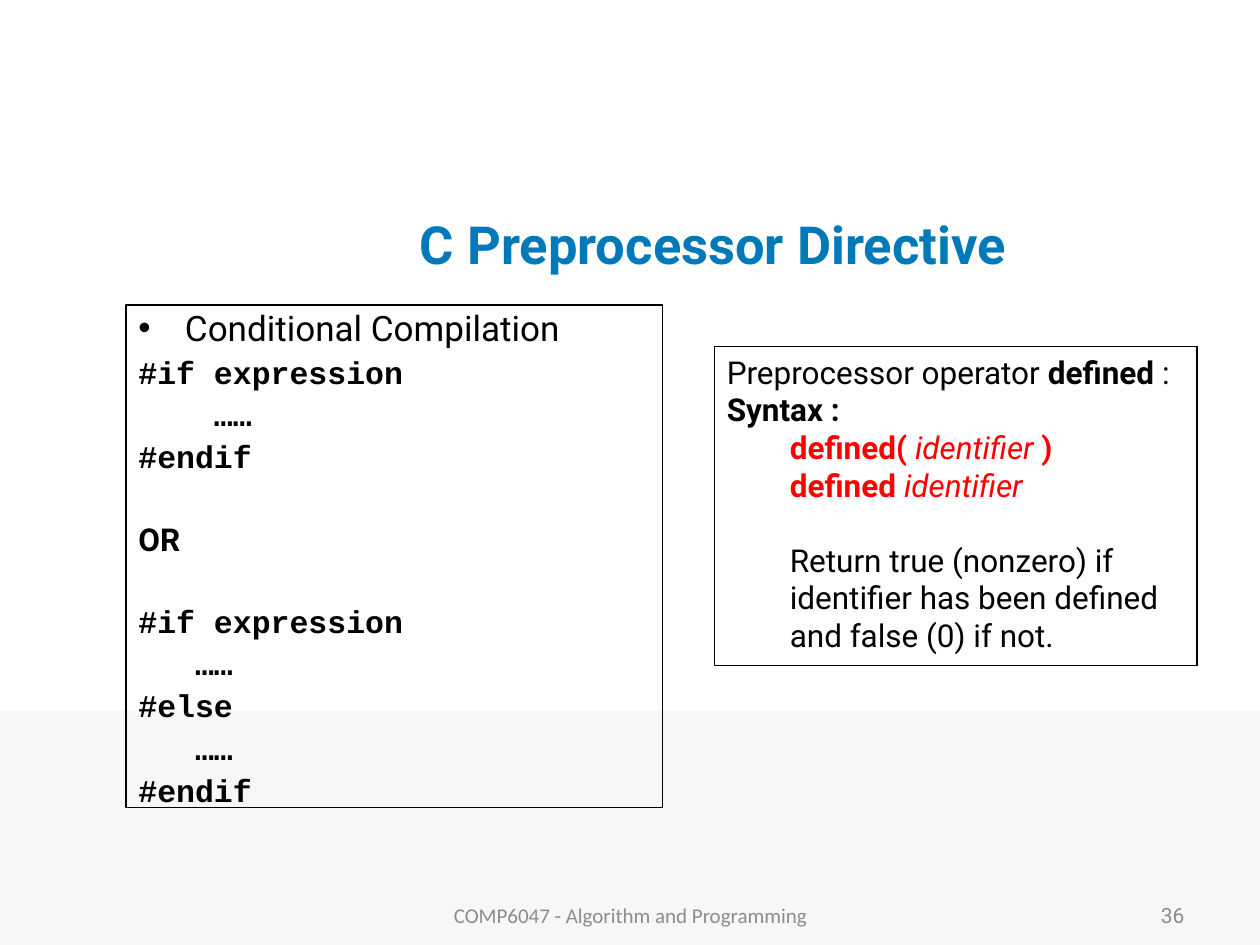
from dataclasses import dataclass

from pptx import Presentation
from pptx import util as u
from pptx.dml.color import RGBColor
from pptx.enum import shapes, text
from pptx.oxml import parse_xml
from pptx.oxml.ns import nsdecls


@dataclass(frozen=True)
class Theme:
    body_font: str = "Roboto"
    code_font: str = "Courier New"
    footer_font: str = "Calibri"
    title_size: int = 30
    lead_size: int = 20
    body_size: int = 18
    footer_size: int = 12
    blue: str = "0079B8"
    black: str = "000000"
    red: str = "FF0000"
    grey: str = "8C8C8C"
    band: str = "F7F7F7"


class Deck:
    """Holds the theme and the current slide."""

    def __init__(self, prs, theme):
        self.t = theme
        self.s = prs.slides.add_slide(prs.slide_layouts[5])

    def style(self, r, size, font=None, color=None, bold=False, italic=False):
        f = r.font
        f.size, f.bold, f.italic = u.Pt(size), bold, italic
        f.name = font or self.t.body_font
        f.color.rgb = RGBColor.from_string(color or self.t.black)

    def place(self, sp, box):
        sp.left, sp.top, sp.width, sp.height = map(u.Inches, box)

    def line_of_text(self, sp, words, align, **style):
        tf = sp.text_frame
        tf.word_wrap = True
        tf.auto_size = text.MSO_AUTO_SIZE.NONE
        tf.vertical_anchor = text.MSO_ANCHOR.MIDDLE
        tf.text = words
        p = tf.paragraphs[0]
        p.alignment = align
        self.style(p.runs[0], **style)

    def title(self, words, box):
        sp = self.s.shapes.title
        self.place(sp, box)
        self.line_of_text(sp, words, text.PP_ALIGN.CENTER,
                          size=self.t.title_size, color=self.t.blue, bold=True)

    def footer(self, words, box, align, font):
        sp = self.s.shapes.add_textbox(*map(u.Inches, box))
        self.line_of_text(sp, words, align, size=self.t.footer_size,
                          font=font, color=self.t.grey)

    def rect(self, box, fill=None, line=None):
        sp = self.s.shapes.add_shape(shapes.MSO_SHAPE.RECTANGLE, *map(u.Inches, box))
        sp.shadow.inherit = False
        if fill:
            sp.fill.solid()
            sp.fill.fore_color.rgb = RGBColor.from_string(fill)
        else:
            sp.fill.background()
        if line:
            sp.line.color.rgb = RGBColor.from_string(line)
            sp.line.width = u.Pt(0.75)
        else:
            sp.line.fill.background()
        return sp

    def frame(self, box):
        tf = self.rect(box, line=self.t.black).text_frame
        tf.word_wrap = True
        tf.vertical_anchor = text.MSO_ANCHOR.TOP
        return tf

    def paragraph(self, tf, runs, before=0, spacing=1.0, indent=0, bullet=False):
        """Add a paragraph from (words, style) pairs."""
        first = tf.paragraphs[0]
        p = tf.add_paragraph() if first.runs else first
        p.alignment = text.PP_ALIGN.LEFT
        p.space_before, p.line_spacing = u.Pt(before), spacing
        pPr = p._p.get_or_add_pPr()
        pPr.set("marL", str(u.Inches(indent)))
        pPr.set("indent", str(-u.Inches(indent) if bullet else 0))
        if bullet:
            pPr.append(parse_xml(f'<a:buFont {nsdecls("a")} typeface="Arial"/>'))
            pPr.append(parse_xml(f'<a:buChar {nsdecls("a")} char="•"/>'))
        for words, style in runs:
            r = p.add_run()
            r.text = words
            self.style(r, **{"size": self.t.body_size, **style})


def main():
    prs = Presentation()
    prs.slide_width, prs.slide_height = u.Inches(10), u.Inches(7.5)
    t = Theme()
    d = Deck(prs, t)

    # Background band and title
    d.rect((0, 5.64, 10, 1.86), fill=t.band)
    d.title("C Preprocessor Directive", (1.92, 1.5, 7.48, 0.87))

    # Conditional compilation: words, indent, space before
    tf = d.frame((1, 2.42, 4.26, 3.99))
    d.paragraph(tf, [("Conditional Compilation", {"size": t.lead_size})],
                before=7, spacing=0.9, indent=0.37, bullet=True)
    gap, block_gap = 4.7, 27.5
    code = [
        ("#if expression", 0, gap), ("……", 0.6, gap), ("#endif", 0, gap),
        ("OR", 0, block_gap),
        ("#if expression", 0, block_gap), ("……", 0.45, gap),
        ("#else", 0, gap), ("……", 0.45, gap), ("#endif", 0, gap),
    ]
    for words, indent, before in code:
        font = t.body_font if words == "OR" else t.code_font
        d.paragraph(tf, [(words, {"font": font, "bold": True})],
                    before=before, spacing=0.9, indent=indent)

    # The "defined" operator
    bold = {"bold": True}
    red_bold = {"color": t.red, "bold": True}
    red_italic = {"color": t.red, "italic": True}
    tf = d.frame((5.67, 2.75, 3.83, 2.53))
    d.paragraph(tf, [("Preprocessor operator ", {}), ("defined", bold), (" :", {})])
    d.paragraph(tf, [("Syntax :", bold)])
    d.paragraph(tf, [("defined( ", red_bold), ("identifier ", red_italic),
                     (")", red_bold)], indent=0.5)
    d.paragraph(tf, [("defined ", red_bold), ("identifier", red_italic)], indent=0.5)
    d.paragraph(tf, [("Return true (nonzero) if identifier has been defined "
                      "and false (0) if not.", {})], before=21, indent=0.5)

    # Footer and page number
    d.footer("COMP6047 - Algorithm and Programming", (3.42, 7.06, 3.17, 0.4),
             text.PP_ALIGN.CENTER, t.footer_font)
    d.footer("36", (7.17, 7.06, 2.33, 0.4), text.PP_ALIGN.RIGHT, t.body_font)

    prs.save("out.pptx")


if __name__ == "__main__":
    main()
